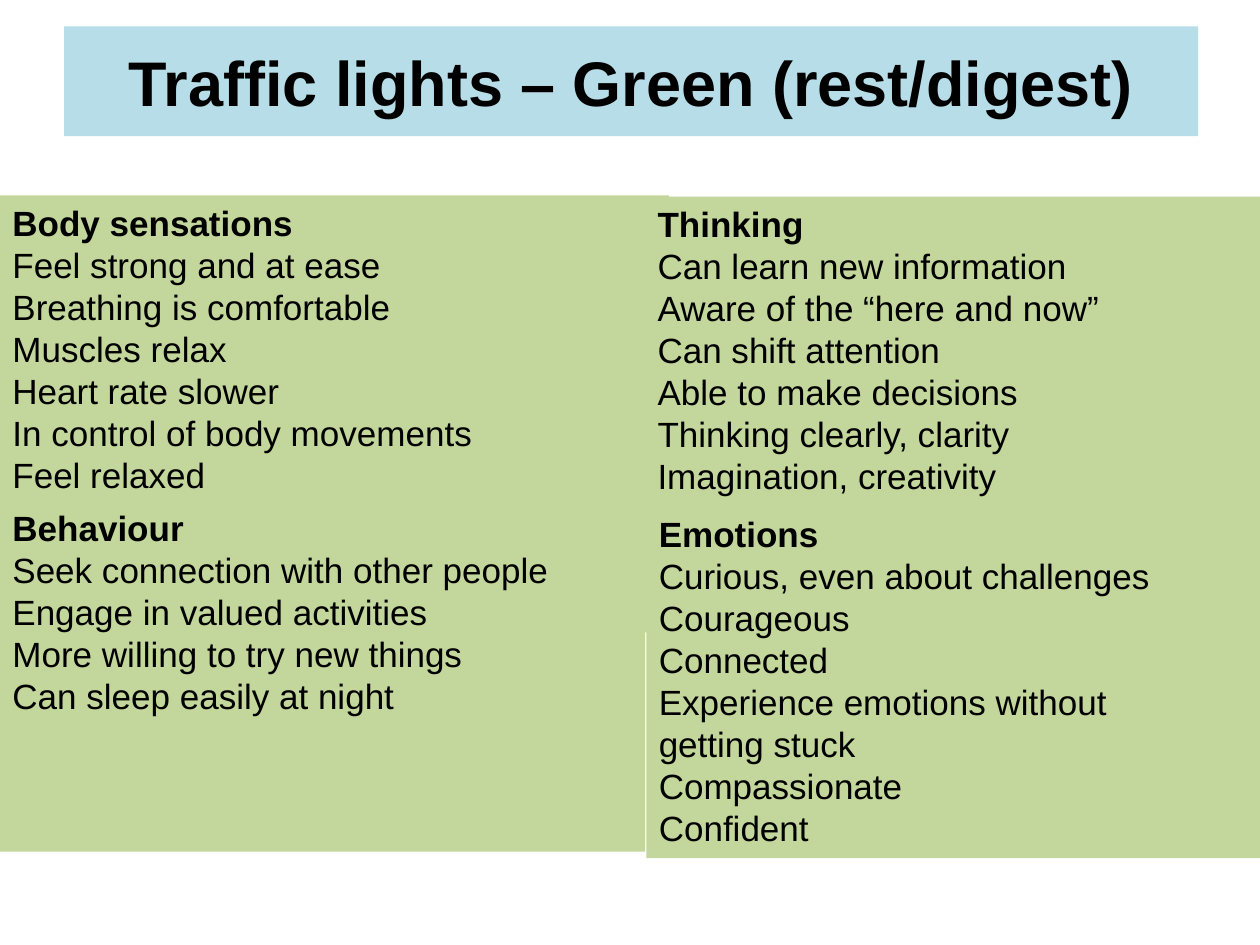
from pptx import Presentation
from pptx.dml.color import RGBColor
from pptx.enum.text import MSO_ANCHOR, MSO_AUTO_SIZE, PP_ALIGN
from pptx.util import Inches, Pt

COLORS = {"title": "B7DEE8", "panel": "C3D69B", "text": "000000"}

PANELS = [
    ((0, 1.55, 5.31, 3.47), "Body sensations", [
        "Feel strong and at ease", "Breathing is comfortable", "Muscles relax",
        "Heart rate slower", "In control of body movements", "Feel relaxed"]),
    ((0, 3.97, 5.12, 2.79), "Behaviour", [
        "Seek connection with other people", "Engage in valued activities",
        "More willing to try new things", "Can sleep easily at night"]),
    ((5.12, 1.56, 4.91, 2.79), "Thinking", [
        "Can learn new information", "Aware of the “here and now”",
        "Can shift attention", "Able to make decisions",
        "Thinking clearly, clarity", "Imagination, creativity"]),
    ((5.13, 4.02, 4.91, 2.79), "Emotions", [
        "Curious, even about challenges", "Courageous", "Connected",
        "Experience emotions without\ngetting stuck", "Compassionate",
        "Confident"]),
]


def fill_shape(sp, color):
    sp.fill.solid()
    sp.fill.fore_color.rgb = RGBColor.from_string(COLORS[color])


def add_text(p, text, size, bold):
    for i, line in enumerate(text.split("\n")):
        if i:
            p.add_line_break()
        r = p.add_run()
        r.text = line
        r.font.name = "Arial"
        r.font.size = Pt(size)
        r.font.bold = bold
        r.font.color.rgb = RGBColor.from_string(COLORS["text"])


def place_title(slide, box, text):
    sp = slide.shapes.title
    sp.left, sp.top, sp.width, sp.height = map(Inches, box)
    fill_shape(sp, "title")
    tf = sp.text_frame
    tf.auto_size = MSO_AUTO_SIZE.NONE
    tf.vertical_anchor = MSO_ANCHOR.MIDDLE
    p = tf.paragraphs[0]
    p.alignment = PP_ALIGN.CENTER
    add_text(p, text, 36, True)


def add_panel(slide, box, heading, items):
    sp = slide.shapes.add_textbox(*map(Inches, box))
    fill_shape(sp, "panel")
    tf = sp.text_frame
    tf.word_wrap = True
    tf.auto_size = MSO_AUTO_SIZE.NONE
    add_text(tf.paragraphs[0], heading, 20, True)
    for item in items:
        add_text(tf.add_paragraph(), item, 20, False)


def main():
    prs = Presentation()
    prs.slide_width, prs.slide_height = Inches(10), Inches(7.5)
    slide = prs.slides.add_slide(prs.slide_layouts[5])
    place_title(slide, (0.51, 0.21, 9, 0.87), "Traffic lights – Green (rest/digest)")
    for box, heading, items in PANELS:
        add_panel(slide, box, heading, items)
    prs.save("out.pptx")


if __name__ == "__main__":
    main()
